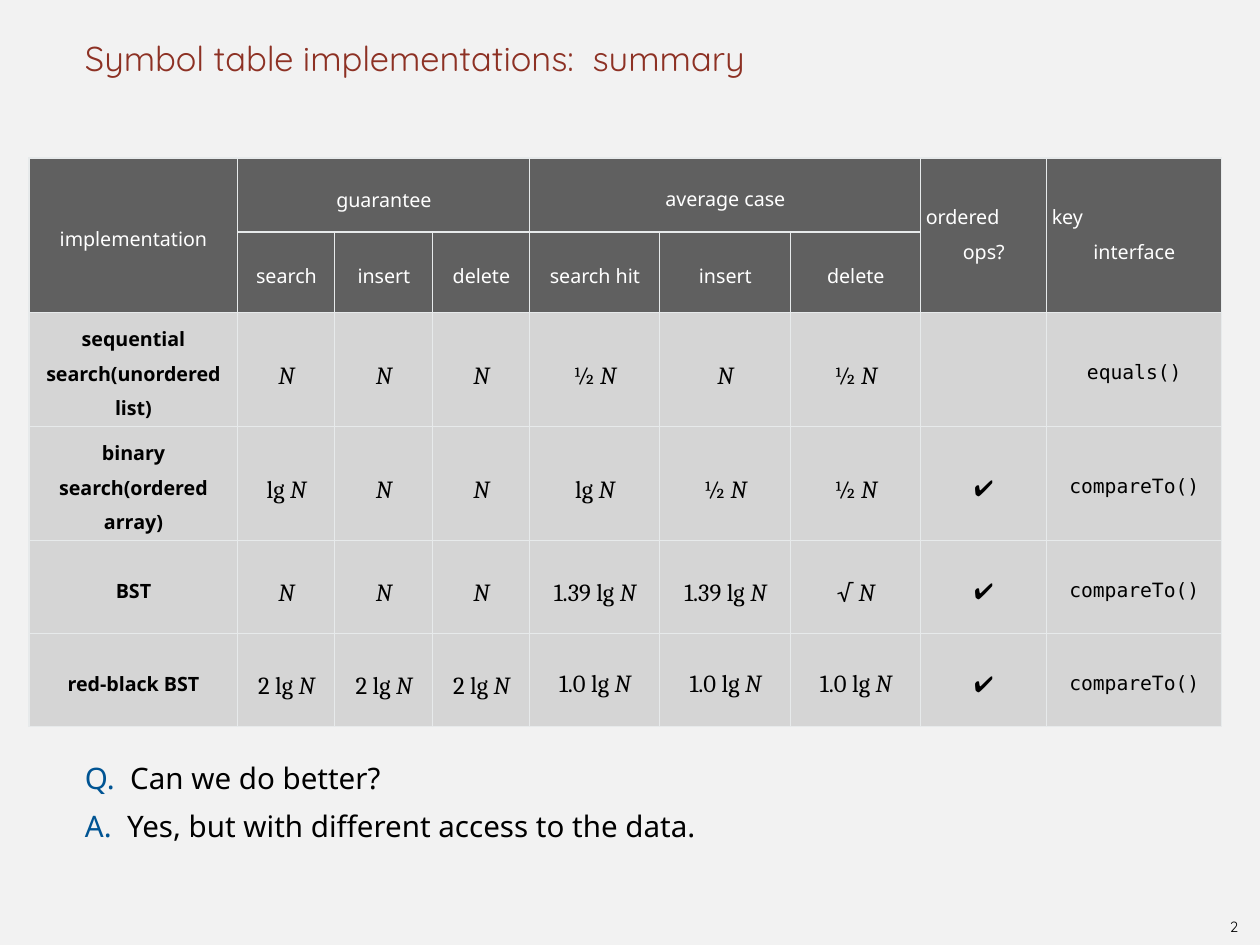
import pptx
import pptx.util
import pptx.dml.color
import pptx.enum.text
import pptx.oxml

TITLE = "Symbol table implementations:  summary"
PAGE_NUMBER = "2"
QUESTIONS = [
    ("Q.  ", "Can we do better?"),
    ("A.  ", "Yes, but with different access to the data."),
]
HEADERS = [
    (0, 0, 1, 0, ["implementation"]),
    (0, 1, 0, 3, ["guarantee"]),
    (0, 4, 0, 6, ["average case"]),
    (0, 7, 1, 7, ["ordered", "ops?"]),
    (0, 8, 1, 8, ["key", "interface"]),
]
SUBHEADERS = ["search", "insert", "delete", "search hit", "insert", "delete"]
IMPLEMENTATIONS = [
    ("sequential search(unordered list)", ["N", "N", "N", "½ N", "N", "½ N"], "", "equals()"),
    ("binary search(ordered array)", ["lg N", "N", "N", "lg N", "½ N", "½ N"], "✔", "compareTo()"),
    ("BST", ["N", "N", "N", "1.39 lg N", "1.39 lg N", "√ N"], "✔", "compareTo()"),
    ("red-black BST", ["2 lg N"] * 3 + ["1.0 lg N"] * 3, "✔", "compareTo()"),
]

SLIDE_WIDTH, SLIDE_HEIGHT = 1260, 945
EMU_PER_PX = 914400 / 88.6
TEXT_LEFT, TEXT_WIDTH = 85, 1096
TABLE_LEFT, TABLE_TOP = 29, 158
COLUMN_WIDTHS = [209, 97, 98, 97, 130, 131, 130, 126, 175]
ROW_HEIGHTS = [74, 73, 114, 114, 93, 93]
CELL_MARGIN = 5
TWO_LINE_BOTTOM_MARGIN = 14

BACKGROUND = pptx.dml.color.RGBColor(0xF2, 0xF2, 0xF2)
TITLE_RED = pptx.dml.color.RGBColor(0x8D, 0x31, 0x24)
LABEL_BLUE = pptx.dml.color.RGBColor(0x00, 0x54, 0x93)
BLACK = pptx.dml.color.RGBColor(0x00, 0x00, 0x00)
WHITE = pptx.dml.color.RGBColor(0xFF, 0xFF, 0xFF)
HEADER_GRAY = pptx.dml.color.RGBColor(0x60, 0x60, 0x60)
BODY_GRAY = pptx.dml.color.RGBColor(0xD5, 0xD5, 0xD5)
BORDER = pptx.dml.color.RGBColor(0xE7, 0xEA, 0xEB)

TITLE_FONT, TEXT_FONT = "Quicksand", "Noto Sans"
MATH_FONT, CODE_FONT = "Cambria", "DejaVu Sans Mono"
ALIGN = pptx.enum.text.PP_ALIGN
ANCHOR = pptx.enum.text.MSO_ANCHOR


def px(length):
    return pptx.util.Emu(round(length * EMU_PER_PX))


def add_run(paragraph, text, font_name, size, color, bold=False, italic=False):
    run = paragraph.add_run()
    run.text = text
    run.font.name = font_name
    run.font.size = pptx.util.Pt(size)
    run.font.color.rgb = color
    run.font.bold = bold
    run.font.italic = italic


def add_text_box(slide, left, top, width, height, anchor, margin=0):
    frame = slide.shapes.add_textbox(px(left), px(top), px(width), px(height)).text_frame
    frame.word_wrap = True
    frame.vertical_anchor = anchor
    set_margins(frame, margin)
    return frame


def set_margins(target, margin):
    target.margin_left = target.margin_right = px(margin)
    target.margin_top = target.margin_bottom = px(margin)


def style_cell(cell, fill):
    set_margins(cell, CELL_MARGIN)
    cell.vertical_anchor = ANCHOR.MIDDLE
    properties = cell._tc.get_or_add_tcPr()
    for side in ("lnL", "lnR", "lnT", "lnB"):
        properties.append(pptx.oxml.parse_xml(
            f'<a:{side} xmlns:a="http://schemas.openxmlformats.org/drawingml/2006/main" w="12700">'
            f'<a:solidFill><a:srgbClr val="{BORDER}"/></a:solidFill></a:{side}>'))
    cell.fill.solid()
    cell.fill.fore_color.rgb = fill


def cell_paragraph(cell, spacing=1.3):
    paragraph = cell.text_frame.paragraphs[0]
    paragraph.alignment = ALIGN.CENTER
    paragraph.line_spacing = spacing
    return paragraph


def fill_header(table):
    for top, left, bottom, right, lines in HEADERS:
        cell = table.cell(top, left)
        cell.merge(table.cell(bottom, right))
        if len(lines) > 1:
            cell.margin_bottom = px(TWO_LINE_BOTTOM_MARGIN)
        for index, line in enumerate(lines):
            paragraph = cell.text_frame.add_paragraph() if index else cell.text_frame.paragraphs[0]
            paragraph.alignment = ALIGN.CENTER if index == len(lines) - 1 else ALIGN.LEFT
            paragraph.line_spacing = 1.4 if line == "guarantee" else 1.3
            add_run(paragraph, line, TEXT_FONT, 16, WHITE)
    for column, label in enumerate(SUBHEADERS, 1):
        add_run(cell_paragraph(table.cell(1, column)), label, TEXT_FONT, 16, WHITE)


def fill_body(table):
    for row, (name, costs, ordered, interface) in enumerate(IMPLEMENTATIONS, 2):
        add_run(cell_paragraph(table.cell(row, 0)), name, TEXT_FONT, 16, BLACK, bold=True)
        for column, cost in enumerate(costs, 1):
            spacing = 1.3 if cost.startswith("1.0") else 1.5
            paragraph = cell_paragraph(table.cell(row, column), spacing)
            factor = cost.removesuffix("N")
            if factor:
                add_run(paragraph, factor, MATH_FONT, 20, BLACK)
            add_run(paragraph, "N", MATH_FONT, 20, BLACK, italic=True)
        if ordered:
            add_run(cell_paragraph(table.cell(row, 7)), ordered, TEXT_FONT, 18, BLACK)
        add_run(cell_paragraph(table.cell(row, 8)), interface, CODE_FONT, 16, BLACK)


def add_summary_table(slide):
    table = slide.shapes.add_table(
        len(ROW_HEIGHTS), len(COLUMN_WIDTHS), px(TABLE_LEFT), px(TABLE_TOP),
        px(sum(COLUMN_WIDTHS)), px(sum(ROW_HEIGHTS))).table
    table.first_row = False
    table.horz_banding = False
    for column, width in zip(table.columns, COLUMN_WIDTHS):
        column.width = px(width)
    for index, (row, height) in enumerate(zip(table.rows, ROW_HEIGHTS)):
        row.height = px(height)
        for cell in row.cells:
            style_cell(cell, HEADER_GRAY if index < 2 else BODY_GRAY)
    fill_header(table)
    fill_body(table)


def main():
    presentation = pptx.Presentation()
    presentation.slide_width = px(SLIDE_WIDTH)
    presentation.slide_height = px(SLIDE_HEIGHT)
    slide = presentation.slides.add_slide(presentation.slide_layouts[6])
    slide.background.fill.solid()
    slide.background.fill.fore_color.rgb = BACKGROUND

    title = add_text_box(slide, TEXT_LEFT, 0, TEXT_WIDTH, 78, ANCHOR.BOTTOM)
    add_run(title.paragraphs[0], TITLE, TITLE_FONT, 28, TITLE_RED)

    questions = add_text_box(slide, TEXT_LEFT, 747, TEXT_WIDTH, 96, ANCHOR.TOP)
    for index, (label, text) in enumerate(QUESTIONS):
        paragraph = questions.add_paragraph() if index else questions.paragraphs[0]
        paragraph.line_spacing = pptx.util.Pt(39)
        add_run(paragraph, label, TEXT_FONT, 24, LABEL_BLUE)
        add_run(paragraph, text, TEXT_FONT, 24, BLACK)

    number = add_text_box(slide, 1219, 913, 30, 28, ANCHOR.MIDDLE, CELL_MARGIN)
    number.word_wrap = False
    number.auto_size = pptx.enum.text.MSO_AUTO_SIZE.SHAPE_TO_FIT_TEXT
    number.paragraphs[0].alignment = ALIGN.CENTER
    add_run(number.paragraphs[0], PAGE_NUMBER, TITLE_FONT, 12, BLACK)

    add_summary_table(slide)
    presentation.save("out.pptx")


if __name__ == "__main__":
    main()
